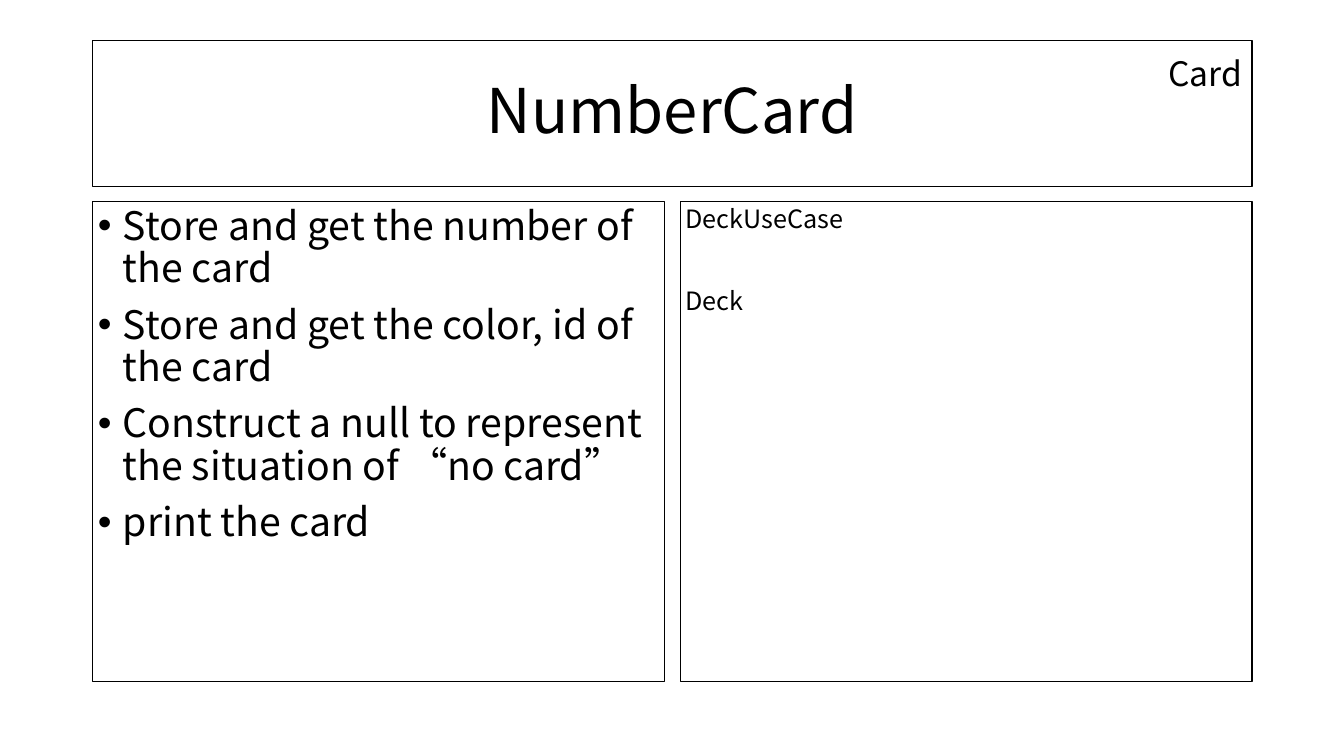
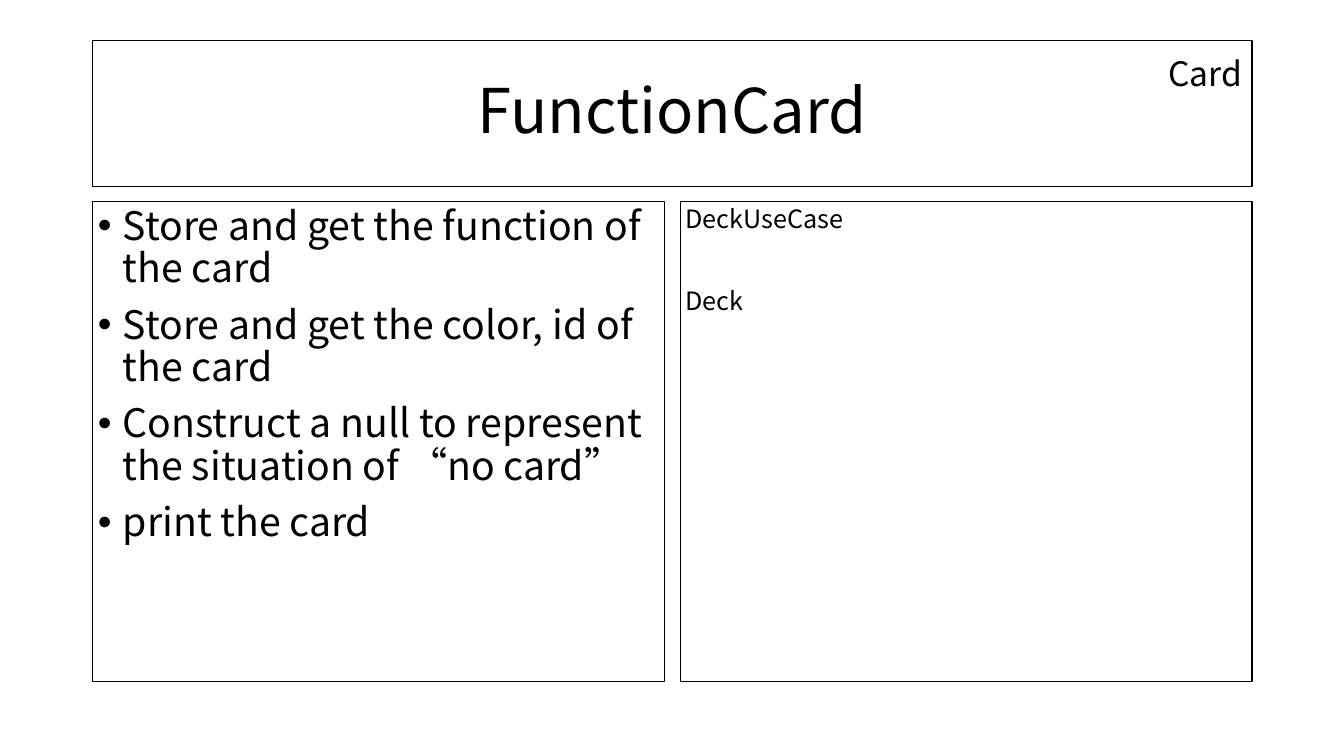
import pptx
import pptx.util
import pptx.dml.color
import pptx.enum.shapes
import pptx.enum.text
import pptx.oxml.ns
import lxml.etree

Pt = pptx.util.Pt
ANCHOR = pptx.enum.text.MSO_ANCHOR
ALIGN = pptx.enum.text.PP_ALIGN
AUTO_SIZE = pptx.enum.text.MSO_AUTO_SIZE

FONT = "Noto Sans CJK SC"
INK = "000000"
PAPER = "FFFFFF"

SHARED_DUTIES = [
    "Store and get the color, id of the card",
    "Construct a null to represent the situation of “no card”",
    "print the card",
]
CARDS = [
    {"name": "NumberCard", "duties": ["Store and get the number of the card"] + SHARED_DUTIES},
    {"name": "FunctionCard", "duties": ["Store and get the function of the card"] + SHARED_DUTIES},
]
PARENT = "Card"
COLLABORATORS = ["DeckUseCase", "Deck"]

LEFT, WIDTH, GAP = 66.25, 828, 11.5
PANEL_TOP, PANEL_HEIGHT = 144, 342.75
PANEL_WIDTH = (WIDTH - GAP) / 2
HEADER = (LEFT, 28.75, WIDTH, 104.5)
DUTIES_PANEL = (LEFT, PANEL_TOP, PANEL_WIDTH, PANEL_HEIGHT)
COLLABORATORS_PANEL = (LEFT + PANEL_WIDTH + GAP, PANEL_TOP, PANEL_WIDTH, PANEL_HEIGHT)
PARENT_LABEL = (831, 34.5, 72, 36)
INSET, INDENT = 3.6, 18
LIST_GAP, COLLABORATOR_GAP = 10, 39.5


def color(code):
    return pptx.dml.color.RGBColor.from_string(code)


def place(part, box):
    part.left, part.top, part.width, part.height = map(Pt, box)


def frame(part):
    part.fill.solid()
    part.fill.fore_color.rgb = color(PAPER)
    part.line.color.rgb = color(INK)
    part.line.width = Pt(1)


def write(part, lines, size, anchor=ANCHOR.TOP, align=ALIGN.LEFT,
          line_spacing=0.9, first_gap=0, gap=0, bulleted=False):
    text = part.text_frame
    text.text = "\n".join(lines)
    text.word_wrap = True
    text.auto_size = AUTO_SIZE.NONE
    text.vertical_anchor = anchor
    text.margin_left = text.margin_top = text.margin_right = text.margin_bottom = Pt(INSET)
    for index, paragraph in enumerate(text.paragraphs):
        paragraph.alignment = align
        paragraph.line_spacing = line_spacing
        paragraph.space_before = Pt(gap if index else first_gap)
        if bulleted:
            properties = paragraph._p.get_or_add_pPr()
            properties.set("marL", str(Pt(INDENT)))
            properties.set("indent", str(-Pt(INDENT)))
            bullet = lxml.etree.SubElement(properties, pptx.oxml.ns.qn("a:buChar"))
            bullet.set("char", "•")
        for run in paragraph.runs:
            run.font.size = Pt(size)
            run.font.name = FONT
            run.font.color.rgb = color(INK)
            east_asian = lxml.etree.SubElement(run._r.get_or_add_rPr(), pptx.oxml.ns.qn("a:ea"))
            east_asian.set("typeface", FONT)


def add_card(deck, card):
    slide = deck.slides.add_slide(deck.slide_layouts[1])

    title = slide.shapes.title
    place(title, HEADER)
    frame(title)
    write(title, [card["name"]], 44, anchor=ANCHOR.MIDDLE, align=ALIGN.CENTER)

    duties = slide.placeholders[1]
    place(duties, DUTIES_PANEL)
    frame(duties)
    write(duties, card["duties"], 28, first_gap=LIST_GAP, gap=LIST_GAP, bulleted=True)

    collaborators = slide.shapes.add_shape(
        pptx.enum.shapes.MSO_SHAPE.RECTANGLE, *map(Pt, COLLABORATORS_PANEL))
    collaborators.shadow.inherit = False
    frame(collaborators)
    write(collaborators, COLLABORATORS, 18, first_gap=LIST_GAP, gap=COLLABORATOR_GAP)

    parent = slide.shapes.add_textbox(*map(Pt, PARENT_LABEL))
    write(parent, [PARENT], 24, line_spacing=1.0)


def main():
    deck = pptx.Presentation()
    deck.slide_width, deck.slide_height = Pt(960), Pt(540)
    for card in CARDS:
        add_card(deck, card)
    deck.save("out.pptx")


if __name__ == "__main__":
    main()
